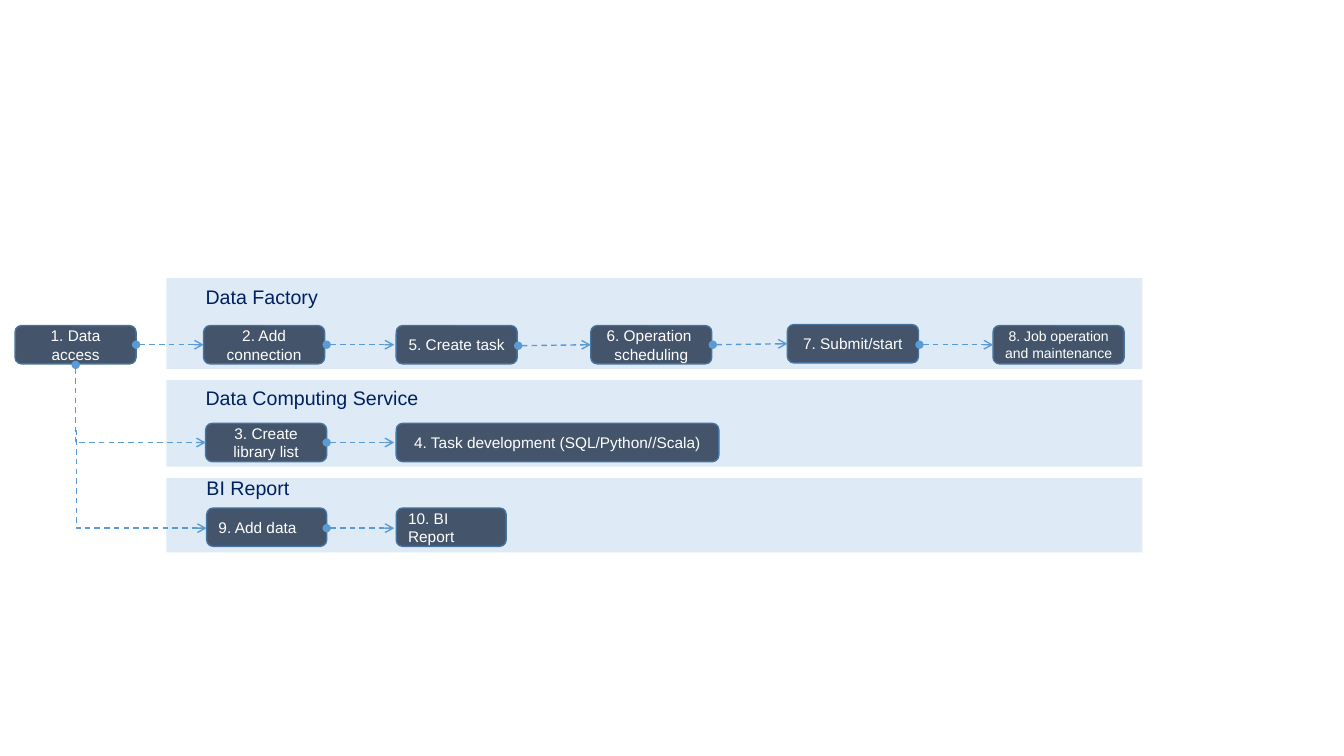
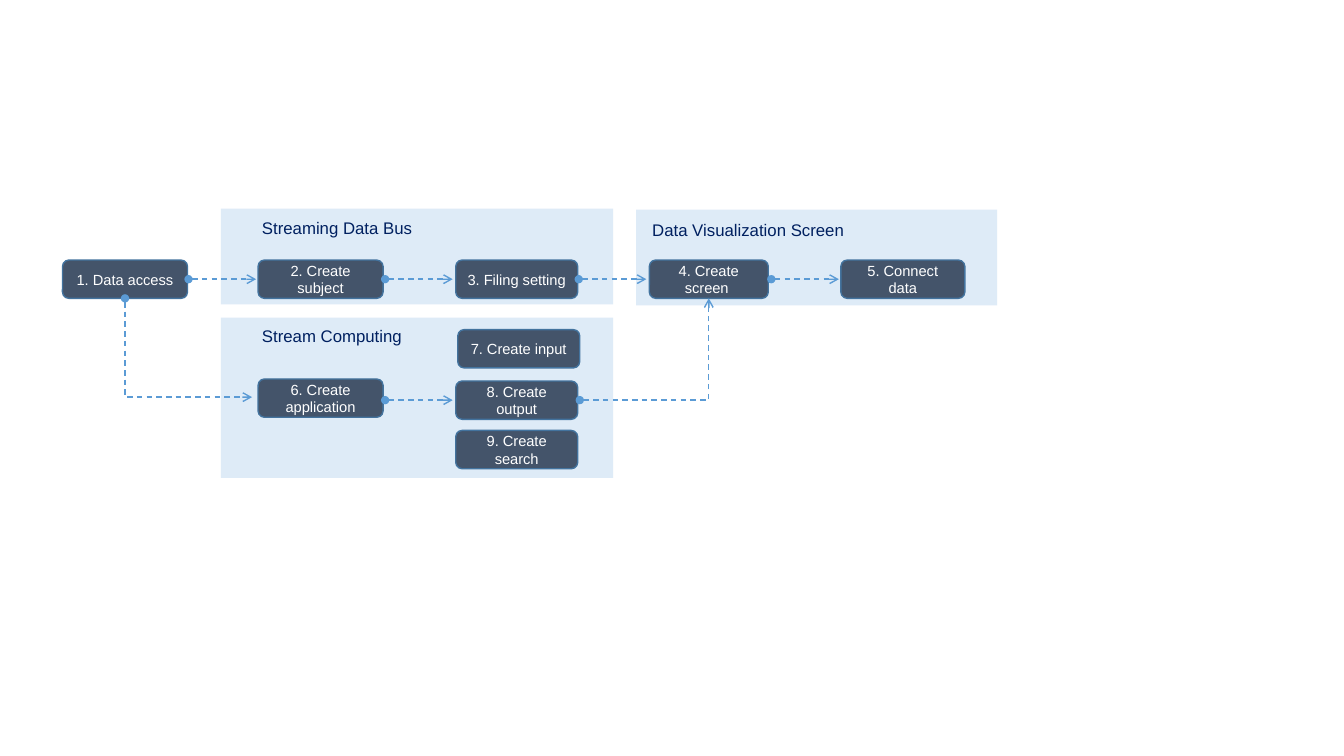
"""Build two process-flow slides with service bands, step boxes and dashed arrows."""
from lxml import etree
from pptx import Presentation
from pptx import util as u
from pptx.dml import color as dml_color
from pptx.enum import dml, shapes, text
from pptx.oxml import ns

COLOURS = {"band": "DEEBF7", "box": "44546A", "edge": "43739E",
           "arrow": "5B9BD5", "label": "FFFFFF", "title": "002060"}
FONT = "Arial"
BOX_HEIGHT = 0.38
ARROW_LENGTH = 0.67
CENTRE, LEFT = text.PP_ALIGN.CENTER, text.PP_ALIGN.LEFT

BATCH_FLOW = {
    "box_size": 11, "title_size": 14, "title_height": 0.34,
    "bands": [(1.65, 4.74, 9.68, 0.74), (1.65, 3.77, 9.68, 0.86),
              (1.65, 2.76, 9.68, 0.9)],
    "titles": [("Data Factory", 1.94, 2.78, 1.73),
               ("Data Computing Service", 1.94, 3.78, 3.57),
               ("BI Report", 1.95, 4.67, 1.73)],
    "boxes": [("1. Data access", 0.15, 3.23, 1.2, {}),
              ("2. Add connection", 2.02, 3.23, 1.2, {}),
              ("5. Create task", 3.93, 3.23, 1.2, {}),
              ("6. Operation \nscheduling", 5.86, 3.23, 1.2, {}),
              ("7. Submit/start", 7.81, 3.22, 1.3, {}),
              ("8. Job operation and maintenance", 9.85, 3.23, 1.3, {"size": 10}),
              ("3. Create library list", 2.04, 4.2, 1.2, {}),
              ("4. Task development (SQL/Python//Scala)", 3.93, 4.2, 3.2, {}),
              ("9. Add data", 2.05, 5.04, 1.19, {"align": LEFT}),
              ("10. BI Report", 3.93, 5.04, 1.09, {"align": LEFT})],
    "level_arrows": [(1.35, 3.42), (3.24, 3.42), (3.24, 4.39), (3.24, 5.24)],
    "straight_arrows": [(5.14, 3.43, 5.86, 3.42), (7.07, 3.42, 7.81, 3.41),
                        (9.12, 3.42, 9.85, 3.42)],
    "down_arrows": [(0.75, 3.62, 2.04, 4.39)],
    "side_arrows": [(0.75, 4.27, 2.05, 5.24)],
    "up_arrows": [],
}

STREAM_FLOW = {
    "box_size": 10.5, "title_size": 12, "title_height": 0.3,
    "bands": [(6.31, 2.08, 3.58, 0.95), (2.19, 3.15, 3.89, 1.59),
              (2.19, 2.07, 3.89, 0.95)],
    "titles": [("Streaming Data Bus", 2.5, 2.11, 1.73),
               ("Stream Computing", 2.5, 3.18, 1.73),
               ("Data Visualization Screen", 6.37, 2.13, 2.29)],
    "boxes": [("1. Data access", 0.62, 2.58, 1.24, {}),
              ("2. Create subject", 2.56, 2.58, 1.24, {}),
              ("3. Filing setting", 4.52, 2.58, 1.21, {}),
              ("4. Create screen ", 6.44, 2.58, 1.18, {}),
              ("5. Connect data", 8.34, 2.58, 1.23, {}),
              ("6. Create application", 2.56, 3.76, 1.24, {}),
              ("7. Create input", 4.54, 3.27, 1.21, {}),
              ("8. Create output", 4.52, 3.78, 1.21, {}),
              ("9. Create search", 4.52, 4.27, 1.21, {})],
    "level_arrows": [(1.87, 2.77), (3.82, 2.77), (5.74, 2.77), (7.65, 2.77),
                     (3.82, 3.97)],
    "straight_arrows": [],
    "down_arrows": [(1.24, 2.96, 2.5, 3.94)],
    "side_arrows": [],
    "up_arrows": [(5.75, 3.97, 7.03, 2.96)],
}


def paint(colour_format, name):
    colour_format.rgb = dml_color.RGBColor.from_string(COLOURS[name])


def write(frame, content, size, colour, align, **frame_format):
    for name, value in {"word_wrap": True, **frame_format}.items():
        setattr(frame, name, value)
    for index, line in enumerate(content.split("\n")):
        paragraph = frame.add_paragraph() if index else frame.paragraphs[0]
        paragraph.alignment = align
        run = paragraph.add_run()
        run.text = line
        for name, value in {"name": FONT, "size": u.Pt(size)}.items():
            setattr(run.font, name, value)
        paint(run.font.color, colour)


def add_block(slide, kind, place, fill, edge=None):
    shape = slide.shapes.add_shape(kind, *map(u.Inches, place))
    shape.shadow.inherit = False
    shape.fill.solid()
    paint(shape.fill.fore_color, fill)
    if edge:
        paint(shape.line.color, edge)
        shape.line.width = u.Pt(1)
    else:
        shape.line.fill.background()
    return shape


def add_arrow(slide, ends, kind=shapes.MSO_CONNECTOR.STRAIGHT, head="oval"):
    connector = slide.shapes.add_connector(kind, *map(u.Inches, ends))
    paint(connector.line.color, "arrow")
    connector.line.width = u.Pt(1)
    connector.line.dash_style = dml.MSO_LINE.DASH
    properties = connector._element.spPr
    line = properties.find(ns.qn("a:ln"))
    for tag, style in (("a:headEnd", head), ("a:tailEnd", "arrow")):
        etree.SubElement(line, ns.qn(tag), type=style)
    etree.SubElement(properties, ns.qn("a:effectLst"))
    return properties


def add_elbow(slide, ends, preset="bentConnector2", head="oval"):
    properties = add_arrow(slide, ends, shapes.MSO_CONNECTOR.ELBOW, head)
    geometry = properties.find(ns.qn("a:prstGeom"))
    geometry.set("prst", preset)
    return properties, geometry


def add_down_elbow(slide, ends):
    x1, y1, x2, y2 = ends
    middle_x, middle_y = (x1 + x2) / 2, (y1 + y2) / 2
    half_width, half_height = (y2 - y1) / 2, (x2 - x1) / 2
    turned = (middle_x + half_width, middle_y - half_height,
              middle_x - half_width, middle_y + half_height)
    properties, _ = add_elbow(slide, turned)
    properties.find(ns.qn("a:xfrm")).set("rot", str(270 * 60000))


def add_side_elbow(slide, ends):
    _, geometry = add_elbow(slide, ends, "bentConnector3", "none")
    guides = geometry.find(ns.qn("a:avLst"))
    if guides is None:
        guides = etree.SubElement(geometry, ns.qn("a:avLst"))
    etree.SubElement(guides, ns.qn("a:gd"), name="adj1", fmla="val 500")


def build_flow(slide, flow):
    for place in flow["bands"]:
        add_block(slide, shapes.MSO_SHAPE.RECTANGLE, place, "band")
    for label, left, top, width, style in flow["boxes"]:
        box = add_block(slide, shapes.MSO_SHAPE.ROUNDED_RECTANGLE,
                        (left, top, width, BOX_HEIGHT), "box", "edge")
        write(box.text_frame, label, style.get("size", flow["box_size"]), "label",
              style.get("align", CENTRE), vertical_anchor=text.MSO_ANCHOR.MIDDLE)
    for x, y in flow["level_arrows"]:
        add_arrow(slide, (x, y, x + ARROW_LENGTH, y))
    for key, draw in (("straight_arrows", add_arrow), ("down_arrows", add_down_elbow),
                      ("side_arrows", add_side_elbow), ("up_arrows", add_elbow)):
        for ends in flow[key]:
            draw(slide, ends)
    for title, left, top, width in flow["titles"]:
        place = (left, top, width, flow["title_height"])
        title_box = slide.shapes.add_textbox(*map(u.Inches, place))
        write(title_box.text_frame, title, flow["title_size"], "title", LEFT,
              auto_size=text.MSO_AUTO_SIZE.SHAPE_TO_FIT_TEXT)


presentation = Presentation()
presentation.slide_width = u.Inches(13.33)
presentation.slide_height = u.Inches(7.5)
for flow in (BATCH_FLOW, STREAM_FLOW):
    build_flow(presentation.slides.add_slide(presentation.slide_layouts[6]), flow)
presentation.save("out.pptx")
